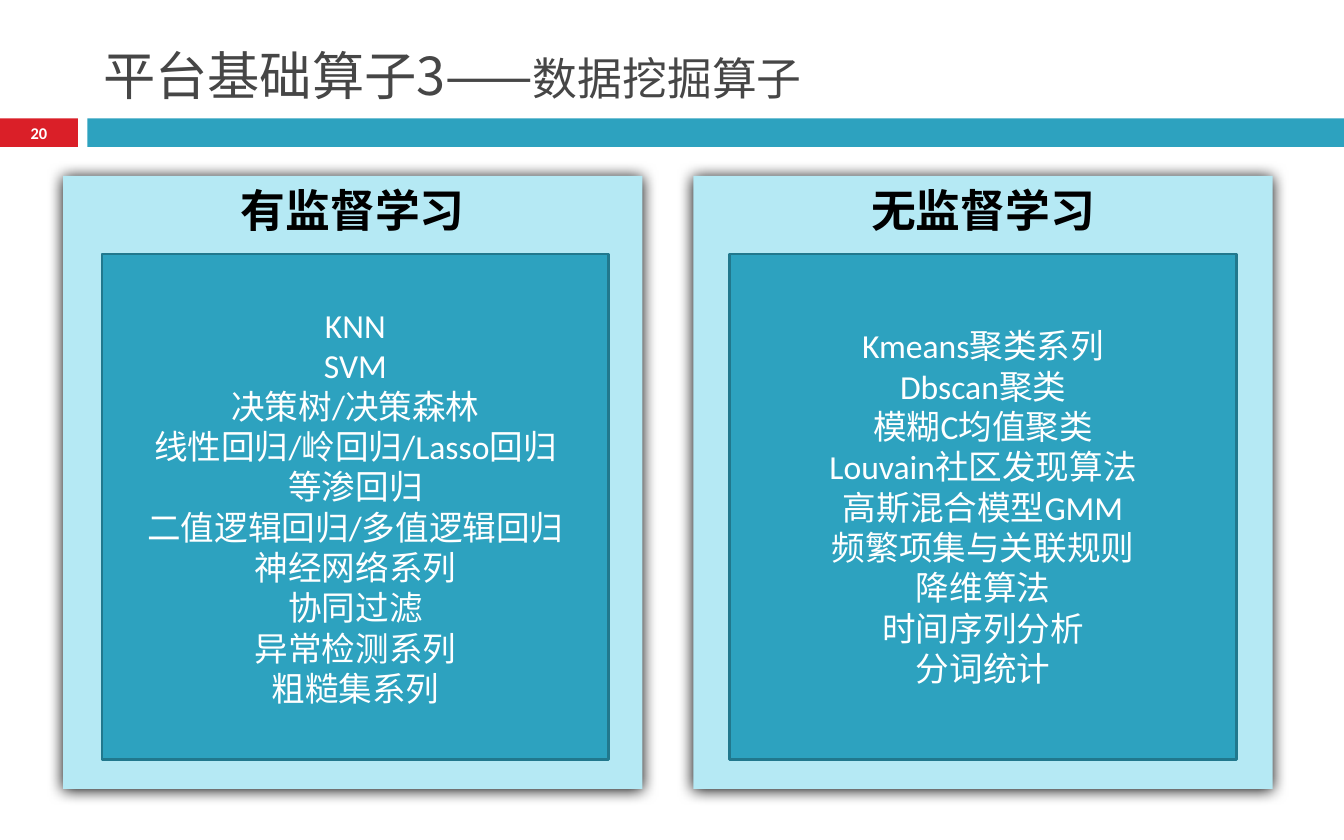
from lxml import etree
from pptx import Presentation
from pptx import util as u
from pptx.dml.color import RGBColor
from pptx.enum import shapes, text
from pptx.oxml.ns import qn

COLORS = {
    "red": "DA1F28", "teal": "2DA2BF", "edge": "21788D", "pale": "B5E9F4",
    "title": "464646", "white": "FFFFFF", "black": "000000",
}
LATIN, CHINESE = "Calibri", "Noto Sans CJK SC"
CENTER = text.PP_ALIGN.CENTER
TOP, MIDDLE, BOTTOM = (text.MSO_ANCHOR.TOP, text.MSO_ANCHOR.MIDDLE,
                       text.MSO_ANCHOR.BOTTOM)

# Each panel: left edges of the card and its list box (% of width), heading, items
PANELS = [
    (4.7, 7.6, "有监督学习",
     ["KNN", "SVM", "决策树/决策森林", "线性回归/岭回归/Lasso回归", "等渗回归",
      "二值逻辑回归/多值逻辑回归", "神经网络系列", "协同过滤", "异常检测系列",
      "粗糙集系列"]),
    (51.6, 54.3, "无监督学习",
     ["Kmeans聚类系列", "Dbscan聚类", "模糊C均值聚类", "Louvain社区发现算法",
      "高斯混合模型GMM", "频繁项集与关联规则", "降维算法", "时间序列分析",
      "分词统计"]),
]


def rgb(name):
    return RGBColor.from_string(COLORS[name])


def write(shape, lines, sizes=(18,), color="white", font=LATIN, bold=False,
          align=CENTER, anchor=MIDDLE):
    """Fill a shape with lines; a line is a list of runs, sized in turn by sizes."""
    frame = shape.text_frame
    frame.word_wrap = True
    frame.vertical_anchor = anchor
    for index, line in enumerate(lines):
        paragraph = frame.add_paragraph() if index else frame.paragraphs[0]
        paragraph.alignment = align
        for words, size in zip(line, sizes):
            run = paragraph.add_run()
            run.text = words
            run.font.size = u.Pt(size)
            run.font.bold = bold
            run.font.color.rgb = rgb(color)
            run.font.name = font
            east_asian = etree.SubElement(run._r.get_or_add_rPr(), qn("a:ea"))
            east_asian.set("typeface", CHINESE)


class SlideBuilder:
    """Places elements by percentages of the slide's width and height."""

    def __init__(self, presentation):
        self.width = presentation.slide_width
        self.height = presentation.slide_height
        self.slide = presentation.slides.add_slide(presentation.slide_layouts[6])

    def place(self, left, top, width, height):
        return (round(left * self.width / 100), round(top * self.height / 100),
                round(width * self.width / 100), round(height * self.height / 100))

    def box(self, *area, fill, line=None):
        shape = self.slide.shapes.add_shape(
            shapes.MSO_SHAPE.RECTANGLE, *self.place(*area))
        shape.shadow.inherit = False
        shape.fill.solid()
        shape.fill.fore_color.rgb = rgb(fill)
        if line:
            shape.line.color.rgb = rgb(line)
            shape.line.width = u.Pt(1.5)
        else:
            shape.line.fill.background()
        return shape

    def card(self, *area, fill):
        shape = self.box(*area, fill=fill)
        effects = shape._element.spPr.find(qn("a:effectLst"))
        shadow = etree.SubElement(
            effects, qn("a:outerShdw"), blurRad=str(u.Pt(8.5)),
            dist=str(u.Pt(1)), dir="5400000", algn="ctr", rotWithShape="0")
        etree.SubElement(shadow, qn("a:srgbClr"), val=COLORS["black"])
        return shape

    def label(self, *area, lines, **style):
        shape = self.slide.shapes.add_textbox(*self.place(*area))
        write(shape, lines, **style)

    def panel(self, card_left, list_left, heading, items):
        card = self.card(card_left, 20.96, 43.1, 72.96, fill="pale")
        write(card, [[heading]], sizes=(24,), color="black", bold=True, anchor=TOP)
        list_box = self.box(list_left, 30.24, 37.7, 60.16, fill="teal", line="edge")
        write(list_box, [[item] for item in items])


def main():
    presentation = Presentation()
    presentation.slide_width = u.Inches(10)
    presentation.slide_height = u.Inches(6.25)
    builder = SlideBuilder(presentation)

    builder.box(0, 14.1, 5.8, 3.4, fill="red")
    builder.box(6.5, 14.1, 93.5, 3.4, fill="teal")
    builder.label(0, 14.1, 5.8, 3.5, lines=[["20"]], sizes=(8.8,), bold=True)
    builder.label(6.7, 2.24, 89.2, 11.2, lines=[["平台基础算子3——", "数据挖掘算子"]],
                  sizes=(28, 24), color="title", font=CHINESE,
                  align=text.PP_ALIGN.LEFT, anchor=BOTTOM)
    for panel in PANELS:
        builder.panel(*panel)

    presentation.save("out.pptx")


if __name__ == "__main__":
    main()
